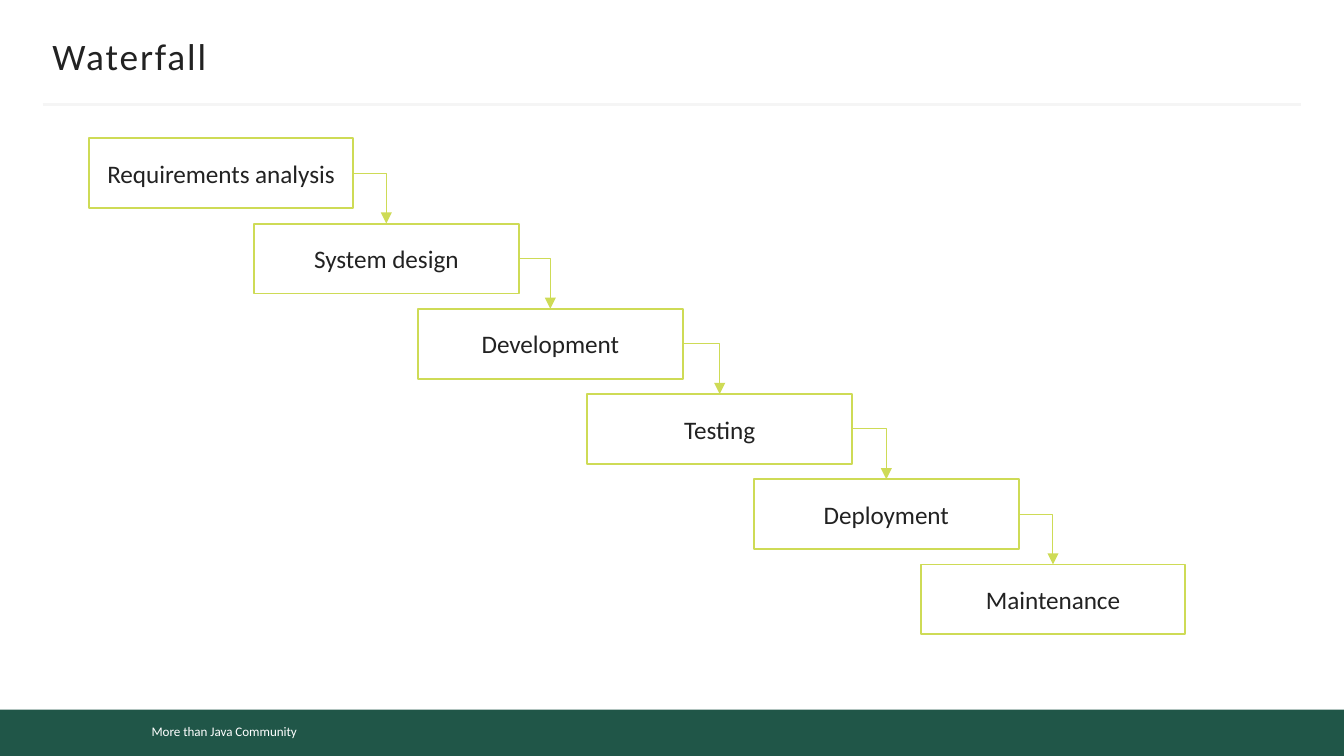
from dataclasses import dataclass

import lxml.etree
import pptx
import pptx.dml.color
import pptx.enum.shapes
import pptx.enum.text
import pptx.oxml.ns
import pptx.util

Inches = pptx.util.Inches
Align = pptx.enum.text.PP_ALIGN
Anchor = pptx.enum.text.MSO_ANCHOR
Connector = pptx.enum.shapes.MSO_CONNECTOR
qualified = pptx.oxml.ns.qn


@dataclass(frozen=True)
class Theme:
    font: str = "Calibri"
    ink: str = "222222"
    paper: str = "FFFFFF"
    lime: str = "CEDB56"
    green: str = "205648"
    rule: str = "F5F5F5"
    title_size: float = 20
    phase_size: float = 13.5
    footer_size: float = 7


@dataclass(frozen=True)
class Phase:
    name: str
    left: float


THEME = Theme()
SLIDE_WIDTH = 10
SLIDE_HEIGHT = SLIDE_WIDTH * 9 / 16
PHASES = [
    Phase("Requirements analysis", 0.66),
    Phase("System design", 1.89),
    Phase("Development", 3.11),
    Phase("Testing", 4.37),
    Phase("Deployment", 5.61),
    Phase("Maintenance", 6.85),
]
FIRST_TOP, LAST_TOP = 1.03, 4.2
PHASE_WIDTH, PHASE_HEIGHT = 1.97, 0.52
RIGHT_SITE, TOP_SITE = 3, 0


def color(value: str) -> pptx.dml.color.RGBColor:
    return pptx.dml.color.RGBColor.from_string(value)


def write_text(shape, text: str, *, size: float, ink: str = THEME.ink,
               align=Align.LEFT, wrap: bool = True, spacing: float = 0) -> None:
    frame = shape.text_frame
    frame.word_wrap = wrap
    frame.auto_size = pptx.enum.text.MSO_AUTO_SIZE.NONE
    frame.vertical_anchor = Anchor.MIDDLE
    paragraph = frame.paragraphs[0]
    paragraph.alignment = align
    run = paragraph.add_run()
    run.text = text
    run.font.name = THEME.font
    run.font.size = pptx.util.Pt(size)
    run.font.color.rgb = color(ink)
    if spacing:
        run.font._element.set("spc", str(round(spacing * 100)))


def add_box(slide, left: float, top: float, width: float, height: float, *,
            fill: str, outline: str = ""):
    shape = slide.shapes.add_shape(
        pptx.enum.shapes.MSO_SHAPE.RECTANGLE,
        Inches(left), Inches(top), Inches(width), Inches(height))
    shape.shadow.inherit = False
    shape.fill.solid()
    shape.fill.fore_color.rgb = color(fill)
    if outline:
        shape.line.color.rgb = color(outline)
        shape.line.width = pptx.util.Pt(1)
    else:
        shape.line.fill.background()
    return shape


def add_line(slide, kind, start: tuple, end: tuple, *, ink: str, width: float):
    line = slide.shapes.add_connector(
        kind, *(Inches(value) for value in (*start, *end)))
    line.line.color.rgb = color(ink)
    line.line.width = pptx.util.Pt(width)
    lxml.etree.SubElement(line._element.spPr, qualified("a:effectLst"))
    return line


def add_step_arrow(slide, source, target) -> None:
    """Run right from one phase, then down into the top of the next."""
    arrow = add_line(slide, Connector.ELBOW, (0, 0), (1, 1),
                     ink=THEME.lime, width=0.5)
    arrow.begin_connect(source, RIGHT_SITE)
    arrow.end_connect(target, TOP_SITE)
    geometry = arrow._element.spPr.find(qualified("a:prstGeom"))
    geometry.set("prst", "bentConnector2")
    lxml.etree.SubElement(arrow.line._get_or_add_ln(),
                          qualified("a:tailEnd"), type="triangle")


def add_title(slide, text: str) -> None:
    title = slide.shapes.title
    title.left, title.top = Inches(0.39), Inches(0.25)
    title.width, title.height = Inches(9.22), Inches(0.33)
    title.text_frame.margin_left = title.text_frame.margin_right = 0
    write_text(title, text, size=THEME.title_size, wrap=False, spacing=1)


def add_footer(slide, text: str) -> None:
    band_top = 5.28
    add_box(slide, 0, band_top, SLIDE_WIDTH, SLIDE_HEIGHT - band_top,
            fill=THEME.green)
    label = add_box(slide, 1.03, 5.33, 2.65, 0.22, fill=THEME.green)
    write_text(label, text, size=THEME.footer_size, ink=THEME.paper)


def add_waterfall(slide, phases: list[Phase]) -> None:
    step = (LAST_TOP - FIRST_TOP) / (len(phases) - 1)
    previous = None
    for index, phase in enumerate(phases):
        box = add_box(slide, phase.left, FIRST_TOP + index * step,
                      PHASE_WIDTH, PHASE_HEIGHT,
                      fill=THEME.paper, outline=THEME.lime)
        write_text(box, phase.name, size=THEME.phase_size, align=Align.CENTER)
        if previous is not None:
            add_step_arrow(slide, previous, box)
        previous = box


def main() -> None:
    presentation = pptx.Presentation()
    presentation.slide_width = Inches(SLIDE_WIDTH)
    presentation.slide_height = Inches(SLIDE_HEIGHT)
    slide = presentation.slides.add_slide(presentation.slide_layouts[5])

    # Frame: footer band, rule and title
    add_footer(slide, "More than Java Community")
    add_line(slide, Connector.STRAIGHT, (0.32, 0.78), (9.68, 0.78),
             ink=THEME.rule, width=1.5)
    add_title(slide, "Waterfall")

    # Phases stepping down to the right
    add_waterfall(slide, PHASES)

    presentation.save("out.pptx")


if __name__ == "__main__":
    main()
